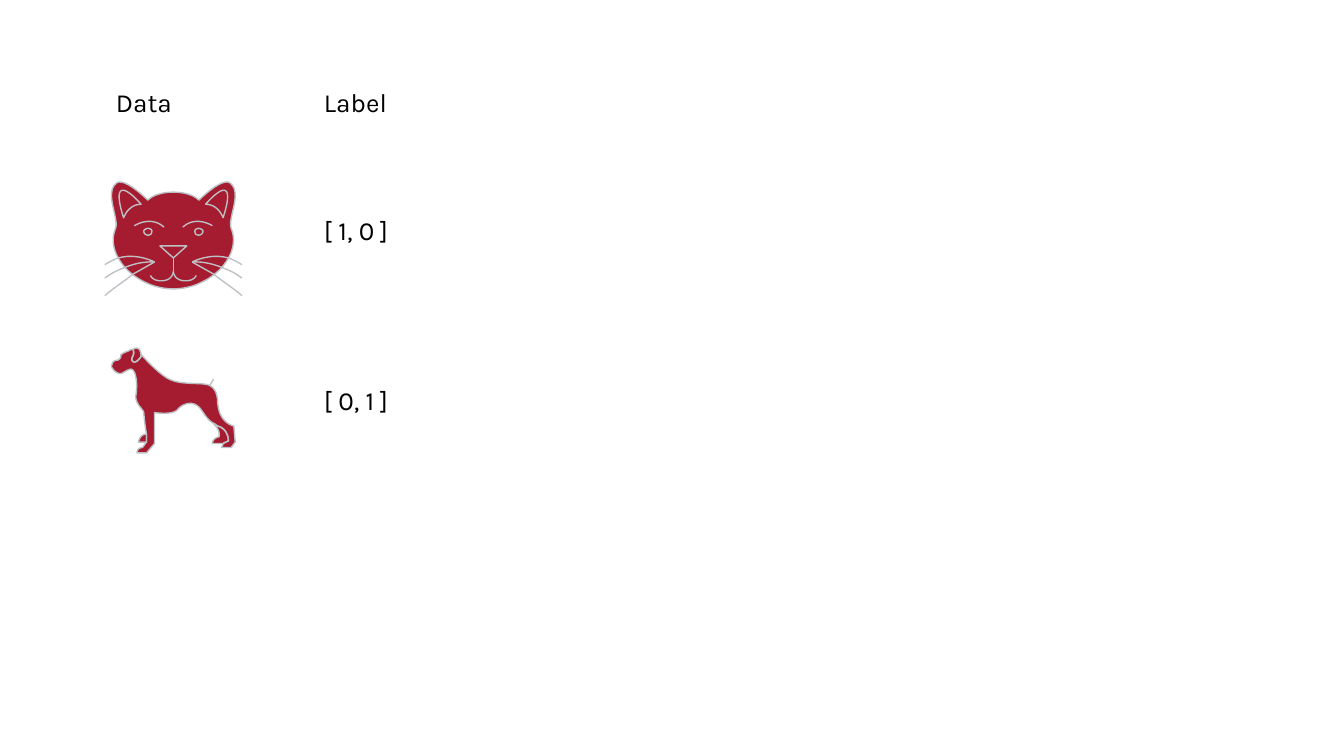
"""Build a slide that pairs two animal drawings with their one-hot labels."""
from copy import deepcopy
from dataclasses import dataclass

from pptx import Presentation
from pptx.dml.color import RGBColor
from pptx.enum.text import MSO_AUTO_SIZE
from pptx.oxml.ns import qn
from pptx.util import Pt

FIT_SHAPE = MSO_AUTO_SIZE.SHAPE_TO_FIT_TEXT
CRIMSON = RGBColor(0xA5, 0x1C, 0x30)
GREY = RGBColor(0xBD, 0xC1, 0xC6)
BLACK = RGBColor(0, 0, 0)
FONT = "Karla"
UNIT = 0.72
CAT_AXIS = 129
STEPS = 12

Point = tuple[float, float]
Curve = list[Point]


@dataclass(frozen=True)
class Label:
    text: str
    left: float
    top: float
    width: float


@dataclass(frozen=True)
class Drawing:
    filled: list[Curve]
    lines: list[Curve]


def curve(start: Point, *segments: tuple) -> Curve:
    """Join straight (x, y) and cubic (x1, y1, x2, y2, x, y) segments into points."""
    points = [start]
    for seg in segments:
        if len(seg) == 2:
            points.append(seg)
            continue
        knots = [points[-1], seg[:2], seg[2:4], seg[4:]]
        for i in range(1, STEPS + 1):
            t = i / STEPS
            weights = ((1 - t) ** 3, 3 * t * (1 - t) ** 2, 3 * t * t * (1 - t), t ** 3)
            points.append(tuple(sum(w * k[axis] for w, k in zip(weights, knots))
                                for axis in (0, 1)))
    return points


def mirror(points: Curve) -> Curve:
    """Reflect points across the middle of the cat's face."""
    return [(2 * CAT_AXIS - x, y) for x, y in points]


def cat() -> Drawing:
    """Describe the cat by its right half and the reflection of it."""
    half_head = curve(
        (129, 143), (143, 143, 148, 149, 148, 149), (148, 149, 165, 132, 171, 136),
        (181, 143, 169, 163, 172, 170), (175, 177, 174, 185, 170, 192),
        (165, 201, 157, 207, 148, 211), (148, 211, 140, 215, 129, 215))
    ear = curve((153, 152), (153, 152, 164, 139, 168, 142), (172, 145, 166, 162, 166, 162),
                (166, 162, 164, 157, 161, 155), (158, 152, 153, 152, 153, 152))
    eye = curve((145, 172), (145, 174, 146, 175, 148, 175), (149, 175, 151, 174, 151, 172),
                (151, 171, 149, 170, 148, 170), (146, 170, 145, 171, 145, 172))
    brow = curve((158, 168), (158, 168, 146, 160, 136, 169))
    whiskers = [
        curve((143, 195), (143, 195, 156, 188, 170, 192), (173, 193, 177, 195, 180, 197)),
        curve((143, 195), (143, 195, 153, 194, 165, 199), (170, 201, 175, 203, 180, 207)),
        curve((143, 195), (143, 195, 150, 199, 159, 204), (165, 209, 173, 214, 180, 220))]
    mouth = curve((129, 202), (129, 203, 130, 209, 138, 209), (143, 209, 145, 207, 146, 205))
    nose = curve((129, 192), (119, 183), (139, 183), (129, 192))
    lip = curve((129, 192), (129, 202))
    side = [ear, eye, brow, *whiskers, mouth]
    head = half_head + mirror(half_head)[::-1]
    return Drawing([head], side + [mirror(c) for c in side] + [nose, lip])


def dog() -> Drawing:
    """Describe the dog by its body, ear, far legs and tail."""
    body = curve(
        (99, 265), (100, 262, 99, 260, 99, 260), (98, 260, 97, 260, 96, 261),
        (93, 262, 91, 263, 90, 264), (90, 266, 89, 268, 87, 268),
        (84, 268, 83, 271, 83, 273), (84, 275, 88, 280, 92, 277),
        (96, 275, 98, 273, 100, 277), (102, 281, 102, 289, 101, 295),
        (101, 301, 107, 305, 107, 307), (107, 309, 108, 317, 109, 323),
        (109, 329), (106, 333), (106, 333, 102, 333, 102, 337), (109, 337),
        (115, 330), (115, 307), (115, 307, 128, 309, 132, 305),
        (135, 301, 142, 298, 147, 302), (151, 305, 153, 312, 159, 315),
        (162, 317), (170, 319, 170, 328, 170, 328), (170, 328, 168, 329, 166, 330),
        (166, 331, 165, 332, 165, 333), (172, 333), (175, 329), (174, 317),
        (174, 317, 163, 315, 162, 300), (162, 286, 153, 286, 153, 286),
        (150, 285, 135, 286, 128, 283), (121, 281, 110, 269, 106, 265),
        (105, 264), (106, 265, 101, 271, 99, 269), (99, 270, 97, 267, 99, 265))
    ear = curve((99, 260), (99, 260, 100, 262, 99, 265), (97, 267, 99, 269, 99, 269),
                (101, 271, 106, 265, 105, 264), (104, 256, 99, 260, 99, 260))
    hind_leg = curve(
        (159, 315), (159, 316, 164, 319, 163, 325), (163, 325, 158, 326, 158, 330),
        (166, 330), (168, 329, 170, 328, 170, 328), (170, 328, 170, 319, 162, 317),
        (159, 315))
    fore_paw = curve((109, 323), (109, 329), (103, 329), (103, 329, 104, 323, 109, 323))
    tail = curve((159, 282), (156, 287))
    return Drawing([body, ear, hind_leg, fore_paw], [tail])


def add_drawing(s, drawing: Drawing) -> None:
    """Draw one freeform whose line curves stay unfilled."""
    curves = [[(Pt(x * UNIT), Pt(y * UNIT)) for x, y in c]
              for c in drawing.filled + drawing.lines]
    builder = s.shapes.build_freeform(*curves[0][0], scale=1.0)
    for i, points in enumerate(curves):
        if i:
            builder.move_to(*points[0])
        builder.add_line_segments(points[1:], close=points[0] == points[-1])
    sp = builder.convert_to_shape()
    sp.shadow.inherit = False
    sp.fill.solid()
    sp.fill.fore_color.rgb = CRIMSON
    sp.line.color.rgb = GREY
    sp.line.width = Pt(0.75)

    path = next(sp.element.iter(qn("a:path")))
    starts = [i for i, el in enumerate(path) if el.tag == qn("a:moveTo")]
    split = starts[len(drawing.filled)]
    unfilled = deepcopy(path)
    unfilled.set("fill", "none")
    del unfilled[:split]
    del path[split:]
    path.addnext(unfilled)


def add_label(s, label: Label) -> None:
    """Add one text label."""
    sp = s.shapes.add_textbox(Pt(label.left), Pt(label.top), Pt(label.width), Pt(31))
    tf = sp.text_frame
    tf.word_wrap = True
    tf.auto_size = FIT_SHAPE
    tf.margin_left = tf.margin_right = tf.margin_top = tf.margin_bottom = Pt(7.2)
    r = tf.paragraphs[0].add_run()
    r.text = label.text
    r.font.name = FONT
    r.font.size = Pt(14)
    r.font.color.rgb = BLACK


LABELS = (
    Label("[ 1, 0 ]", 166.5, 107.5, 200),
    Label("[ 0, 1 ]", 166.5, 199, 200),
    Label("Data", 55, 39, 88),
    Label("Label", 166.5, 39, 88),
)


def main() -> None:
    """Build and save the slide."""
    prs = Presentation()
    prs.slide_width, prs.slide_height = Pt(720), Pt(405)
    s = prs.slides.add_slide(prs.slide_layouts[6])
    for drawing in (cat(), dog()):
        add_drawing(s, drawing)
    for label in LABELS:
        add_label(s, label)
    prs.save("out.pptx")


if __name__ == "__main__":
    main()
